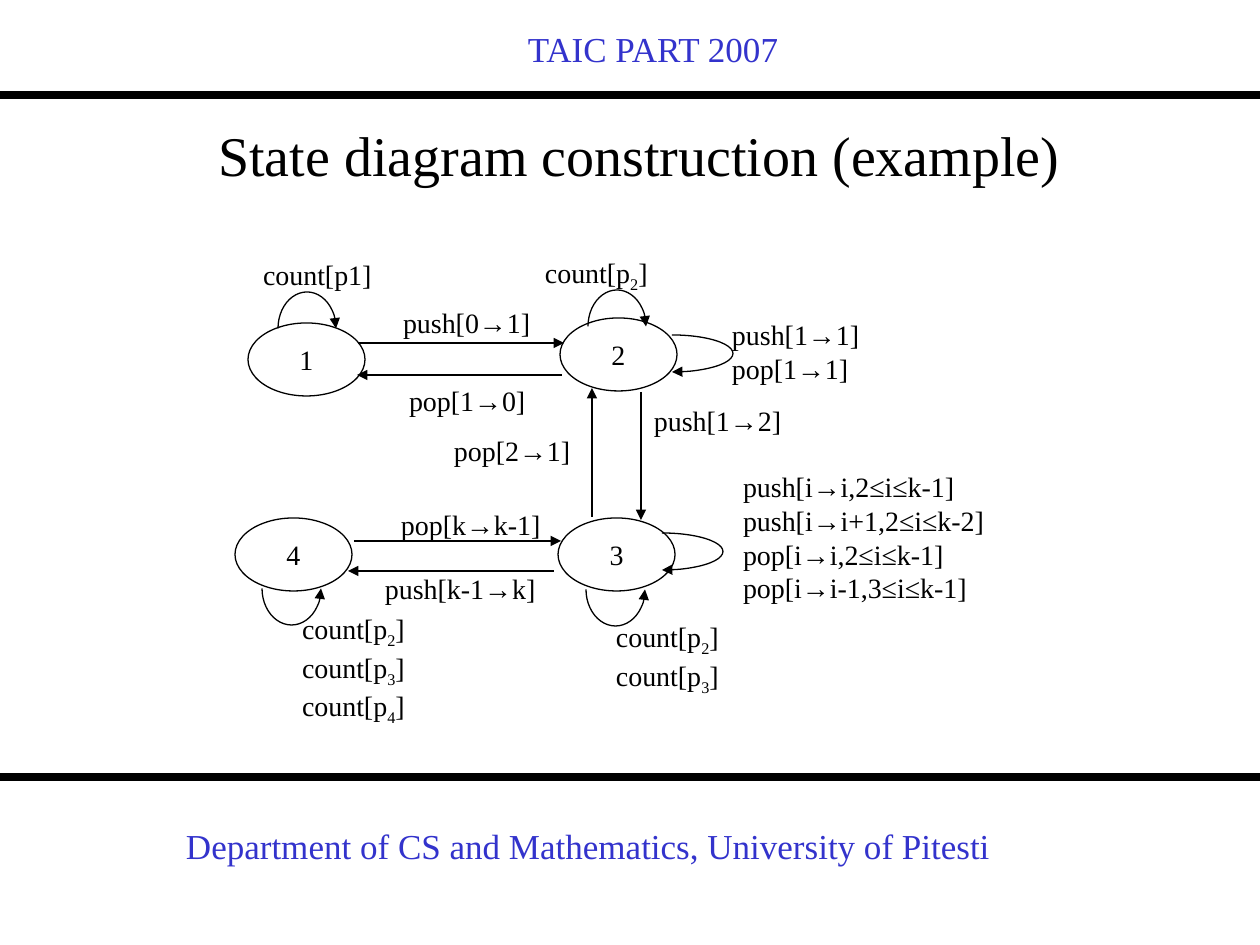
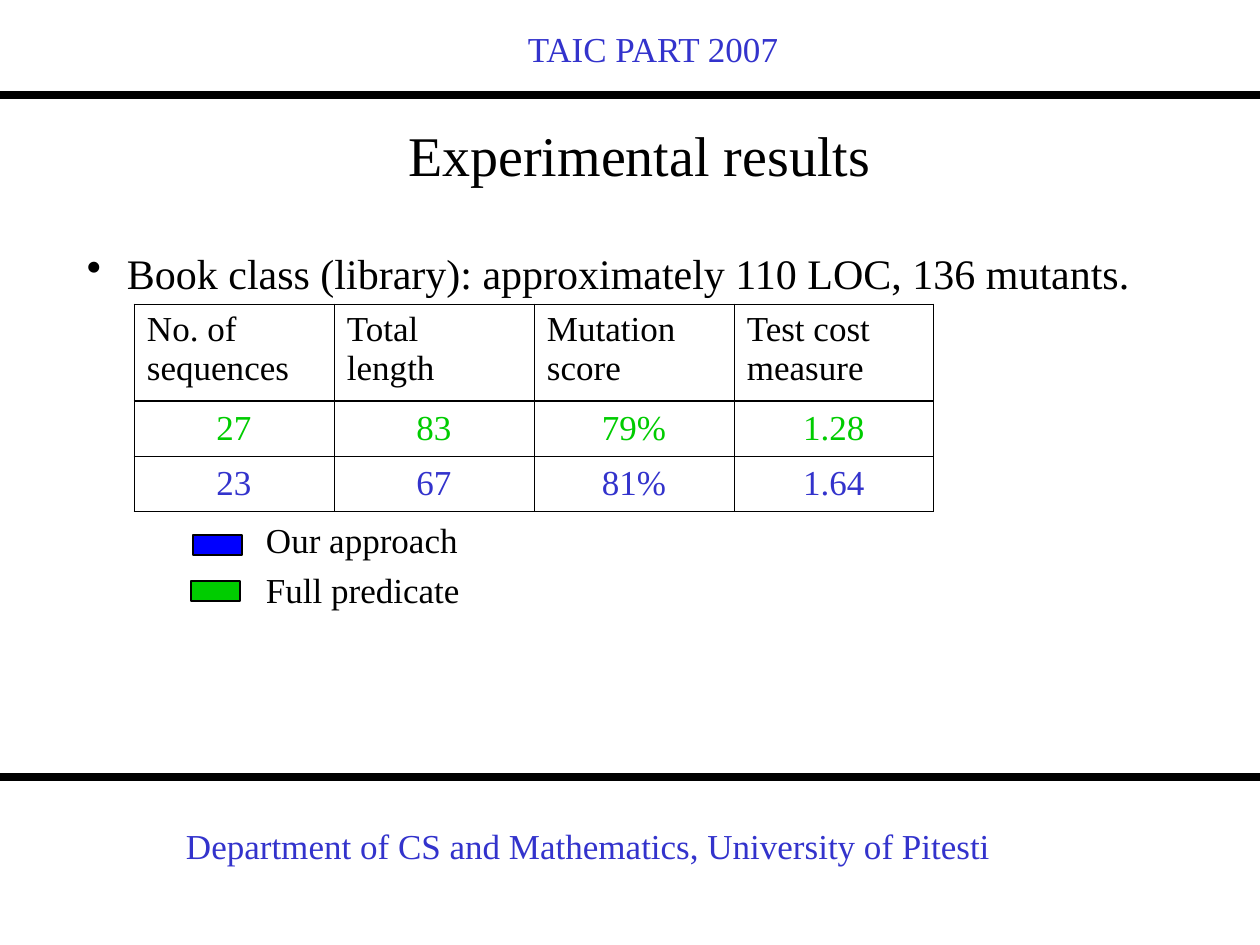
from dataclasses import dataclass

from lxml.etree import SubElement
from pptx import Presentation
from pptx.dml.color import RGBColor
from pptx.enum.shapes import MSO_CONNECTOR, MSO_SHAPE
from pptx.enum.text import MSO_ANCHOR, PP_ALIGN
from pptx.oxml.ns import qn
from pptx.util import Pt


@dataclass(frozen=True)
class Theme:
    font: str = "Times New Roman"
    black: str = "000000"
    white: str = "FFFFFF"
    accent: str = "3333CC"
    green: str = "00CC00"
    blue: str = "0000FF"
    title: int = 32
    body: int = 24
    normal: int = 20
    label: int = 16
    thin: float = 0.75
    rule: float = 4.5
    grid: float = 0.45
    header_grid: float = 1.08


THEME = Theme()
EMU_PER_PX = 914400 / 126
WIDTH, HEIGHT = 1260, 945
INSET_X, INSET_Y = 13, 6

# Content shared by the slides
HEADER = ("TAIC PART 2007", (333, 21, 640, 118))
FOOTER = ("Department of CS and Mathematics, University of Pitesti", (173, 818, 914, 97))
RULES = (777, 95)
TITLE_BOX = (74, 115, 1131, 567)

# State diagram: an underscore lowers the next character
STATE_TITLE = "State diagram construction (example)"
LABELS = [  # text, box, indent
    ("push[i→i,2≤i≤k-1]\npush[i→i+1,2≤i≤k-2]\npop[i→i,2≤i≤k-1]\npop[i→i-1,3≤i≤k-1]",
     (730, 464, 436, 142), 0),
    ("count[p_2]\ncount[p_3]", (603, 614, 213, 76), 0),
    ("count[p1]", (222, 252, 205, 55), 28),
    ("pop[1→0]", (361, 378, 236, 55), 35),
    ("push[0→1]", (355, 300, 236, 55), 35),
    ("count[p_2]\ncount[p_3]\ncount[p_4]", (289, 606, 205, 115), 0),
    ("count[p_2]", (532, 250, 213, 53), 0),
    ("push[1→1]\npop[1→1]", (719, 312, 324, 73), 0),
    ("pop[k→k-1]", (339, 502, 253, 49), 49),
    ("pop[2→1]", (385, 428, 236, 55), 56),
    ("push[1→2]", (627, 398, 241, 53), 14),
    ("push[k-1→k]", (330, 566, 265, 53), 42),
]
NODE_SIZE = (117, 73)
NODES = {"1": (248, 323), "2": (560, 318), "3": (558, 518), "4": (235, 518)}
# Loop kinds: size, start and end angle (clockwise), end that has the arrowhead
LOOP_KINDS = {
    "top": ((58, 73), 180, 0, "tailEnd"),
    "right": ((122, 37), 270, 90, "tailEnd"),
    "bottom": ((59, 73), 0, 180, "headEnd"),
}
LOOPS = [("bottom", 262, 552), ("bottom", 586, 553), ("right", 611, 335),
         ("top", 278, 292), ("top", 588, 290), ("right", 601, 533)]
ARROWS = [
    (641, 392, 641, 520), (592, 517, 592, 388),
    (358, 343, 564, 343), (354, 541, 561, 541),
    (562, 375, 357, 375), (554, 571, 348, 571),
]

# Experimental results
RESULTS_TITLE = "Experimental results"
RESULTS_BULLET = "Book class (library): approximately 110 LOC, 136 mutants."
RESULTS = [
    ("No. of sequences", "Total length", "Mutation score", "Test cost measure"),
    ("27", "83", "79%", "1.28"),
    ("23", "67", "81%", "1.64"),
]
ROW_COLORS = (THEME.black, THEME.green, THEME.accent)
ROW_HEIGHTS = (97, 55, 55)
TABLE_AT, COLUMN_WIDTH = (134, 304), 200
LEGEND = "Our approach\nFull predicate"
LEGEND_BOX = (253, 512, 436, 106)
SWATCHES = [(THEME.green, 191, 581), (THEME.blue, 193, 535)]
SWATCH_SIZE = (49, 20)


def px(value):
    return round(value * EMU_PER_PX)


def emu(*values):
    return [px(value) for value in values]


def rgb(color):
    return RGBColor.from_string(color)


def add_span(para, text, size, color, lowered=False):
    span = para.add_run()
    span.text = text
    font = span.font
    font.name, font.size, font.color.rgb = THEME.font, Pt(size), rgb(color)
    if lowered:
        font._element.set("baseline", "-25000")


def write(frame, text, size=THEME.normal, color=THEME.black, align=PP_ALIGN.LEFT,
          anchor=MSO_ANCHOR.TOP, indent=0, gap=0, extend=False):
    """Write one paragraph per line; gap is the space before all but the first."""
    frame.word_wrap = True
    frame.vertical_anchor = anchor
    frame.margin_left, frame.margin_right = emu(INSET_X + indent, INSET_X)
    frame.margin_top = frame.margin_bottom = px(INSET_Y)
    for index, line in enumerate(text.split("\n")):
        first = index == 0 and not extend
        para = frame.paragraphs[0] if first else frame.add_paragraph()
        para.alignment = align
        para.space_before = Pt(0 if first else gap)
        plain, *rest = line.split("_")
        add_span(para, plain, size, color)
        for part in rest:
            add_span(para, part[0], size, color, lowered=True)
            add_span(para, part[1:], size, color)
    return para


def add_text(page, box, text, **style):
    frame = page.shapes.add_textbox(*emu(*box)).text_frame
    write(frame, text, **style)
    return frame


def add_shape(page, kind, box, fill=None, outlined=True):
    shape = page.shapes.add_shape(kind, *emu(*box))
    shape.shadow.inherit = False
    if fill:
        shape.fill.solid()
        shape.fill.fore_color.rgb = rgb(fill)
    else:
        shape.fill.background()
    if outlined:
        shape.line.color.rgb = rgb(THEME.black)
        shape.line.width = Pt(THEME.thin)
    else:
        shape.line.fill.background()
    return shape


def add_arrowhead(line, end):
    SubElement(line._get_or_add_ln(), qn(f"a:{end}"), type="triangle")


def add_line(page, ends, weight=THEME.thin, arrow=False):
    connector = page.shapes.add_connector(MSO_CONNECTOR.STRAIGHT, *emu(*ends))
    connector.line.color.rgb = rgb(THEME.black)
    connector.line.width = Pt(weight)
    if arrow:
        add_arrowhead(connector.line, "tailEnd")
    SubElement(connector._element.spPr, qn("a:effectLst"))


def add_page(deck, title):
    """Add a slide with rules, header, footer and title; return it and the title frame."""
    page = deck.slides.add_slide(deck.slide_layouts[6])
    for y in RULES:
        add_line(page, (0, y, WIDTH, y), THEME.rule)
    for (text, box), align in ((FOOTER, PP_ALIGN.LEFT), (HEADER, PP_ALIGN.CENTER)):
        add_text(page, box, text, color=THEME.accent, align=align)
    frame = add_text(page, TITLE_BOX, title, size=THEME.title, align=PP_ALIGN.CENTER)
    return page, frame


def set_borders(cell, weights):
    properties = cell._tc.get_or_add_tcPr()
    for position, (side, weight) in enumerate(weights.items()):
        line = properties.makeelement(qn(f"a:{side}"), {"w": str(Pt(weight))})
        fill = SubElement(line, qn("a:solidFill"))
        SubElement(fill, qn("a:srgbClr"), val=THEME.black)
        properties.insert(position, line)


def add_results_table(page):
    columns = len(RESULTS[0])
    box = (*TABLE_AT, columns * COLUMN_WIDTH, sum(ROW_HEIGHTS))
    table = page.shapes.add_table(len(RESULTS), columns, *emu(*box)).table
    table.horz_banding = table.first_row = False
    for column in table.columns:
        column.width = px(COLUMN_WIDTH)
    for index, values in enumerate(RESULTS):
        header = index == 0
        table.rows[index].height = px(ROW_HEIGHTS[index])
        weights = dict.fromkeys(("lnL", "lnR", "lnT", "lnB"), THEME.grid)
        if index < 2:
            weights["lnB" if header else "lnT"] = THEME.header_grid
        for column, value in enumerate(values):
            cell = table.cell(index, column)
            write(cell.text_frame, value, color=ROW_COLORS[index],
                  align=PP_ALIGN.LEFT if header else PP_ALIGN.CENTER)
            cell.vertical_anchor = MSO_ANCHOR.TOP if header else MSO_ANCHOR.MIDDLE
            cell.margin_left = px(INSET_X)
            cell.margin_right = px(INSET_X * 2 if header else INSET_X)
            cell.margin_top = cell.margin_bottom = px(INSET_Y)
            cell.fill.background()
            set_borders(cell, weights)


def build_state_diagram(deck):
    page, _ = add_page(deck, STATE_TITLE)
    # Labels lie behind the states
    for text, box, indent in LABELS:
        label = add_shape(page, MSO_SHAPE.RECTANGLE, box, THEME.white, outlined=False)
        write(label.text_frame, text, size=THEME.label, indent=indent)
    # States
    for name, corner in NODES.items():
        node = add_shape(page, MSO_SHAPE.OVAL, (*corner, *NODE_SIZE), THEME.white)
        write(node.text_frame, name, size=THEME.label, align=PP_ALIGN.CENTER,
              anchor=MSO_ANCHOR.MIDDLE)
    # Loops: arc angles count 60000 to the degree, adjustments 100000 to the unit
    for kind, x, y in LOOPS:
        size, start, end, arrow_end = LOOP_KINDS[kind]
        loop = add_shape(page, MSO_SHAPE.ARC, (x, y, *size))
        loop.adjustments[0], loop.adjustments[1] = start * 0.6, end * 0.6
        add_arrowhead(loop.line, arrow_end)
    # Transitions
    for ends in ARROWS:
        add_line(page, ends, arrow=True)


def build_results(deck):
    page, frame = add_page(deck, RESULTS_TITLE)
    # Bullet under the title
    para = write(frame, RESULTS_BULLET, size=THEME.body, gap=34, extend=True)
    properties = para._p.get_or_add_pPr()
    properties.set("marL", str(px(40)))
    properties.set("indent", str(px(-40)))
    SubElement(properties, qn("a:buChar"), char="•")
    # Legend swatches, table and legend text
    for color, x, y in SWATCHES:
        add_shape(page, MSO_SHAPE.RECTANGLE, (x, y, *SWATCH_SIZE), color)
    add_results_table(page)
    add_text(page, LEGEND_BOX, LEGEND, gap=5)


def main():
    deck = Presentation()
    deck.slide_width, deck.slide_height = emu(WIDTH, HEIGHT)
    build_state_diagram(deck)
    build_results(deck)
    deck.save("out.pptx")


if __name__ == "__main__":
    main()
